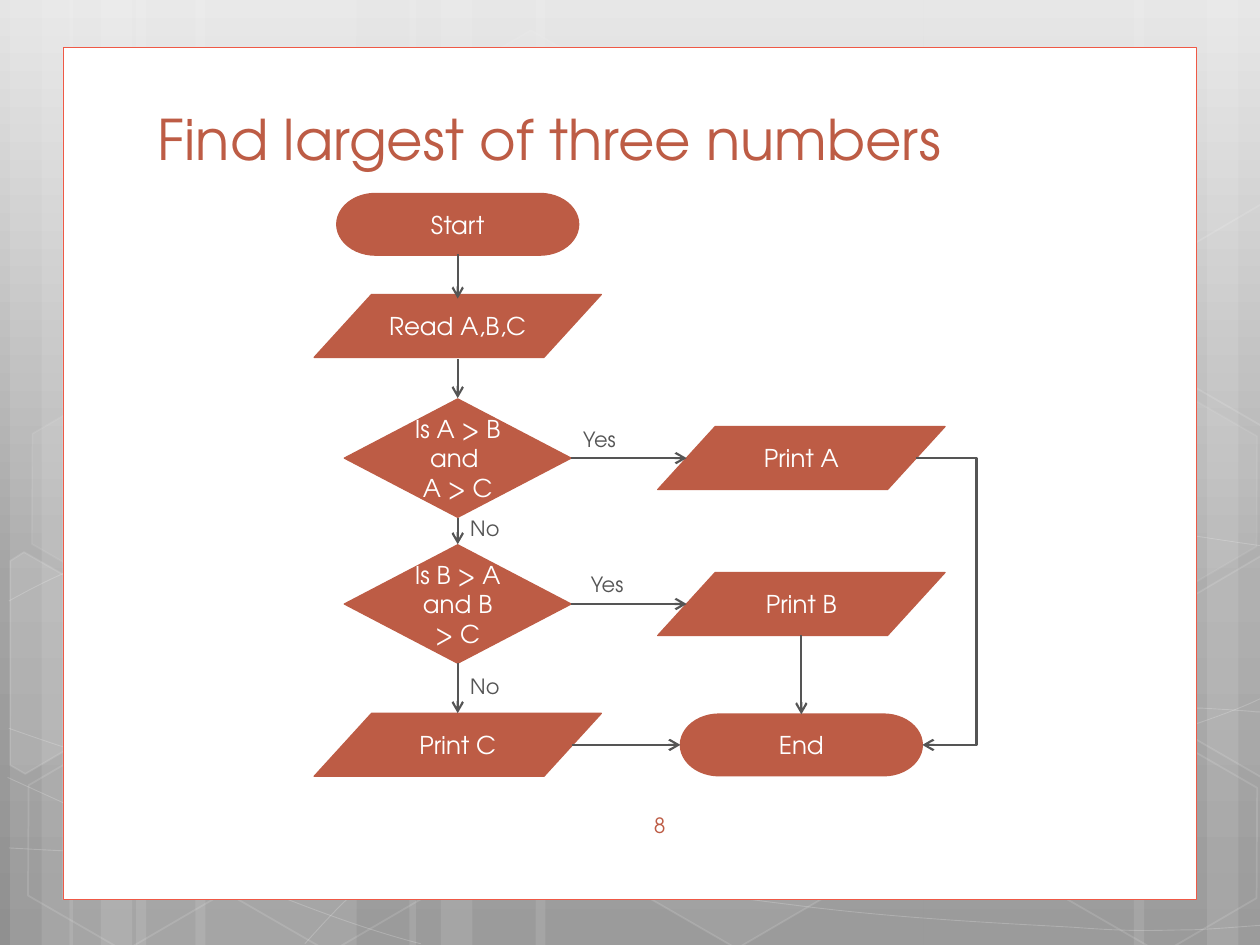
"""Build a flowchart slide that finds the largest of three numbers."""
from copy import deepcopy
from math import cos, radians, sin
from lxml.etree import SubElement as Sub
from pptx import Presentation
from pptx.dml.color import RGBColor as RGB
from pptx.enum.shapes import MSO_CONNECTOR as LINK, MSO_SHAPE as KIND
from pptx.enum.text import MSO_ANCHOR as ANCHOR, MSO_AUTO_SIZE as AUTO, PP_ALIGN as ALIGN
from pptx.oxml.ns import qn
from pptx.util import Inches, Pt

INK = {"white": "FFFFFF", "rust": "BD5C45", "gray": "555555", "edge": "EF5946",
       "light": "E5E5E5", "mid": "A4A4A4", "dark": "909090"}
FONT = "TeX Gyre Adventor"

deck = Presentation()
deck.slide_width, deck.slide_height = Inches(10), Inches(7.5)
COL, ROW = deck.slide_width / 100, deck.slide_height / 75
slide = deck.slides.add_slide(deck.slide_layouts[5])
shapes = slide.shapes


def paint(shape, fill=None, line=None, width=0.5, fade=100, haze=100):
    shape.shadow.inherit = False
    shape.fill.background()
    shape.line.fill.background()
    shares = []
    if fill:
        shape.fill.solid()
        shape.fill.fore_color.rgb = RGB.from_string(INK[fill])
        shares.append(fade)
    if line:
        shape.line.color.rgb = RGB.from_string(INK[line])
        shape.line.width = Pt(width)
        shares.append(haze)
    for tone, share in zip(shape._element.spPr.iter(qn("a:srgbClr")), shares):
        if share < 100:
            Sub(tone, qn("a:alpha"), val=str(share * 1000))


def write(shape, lines, size, ink, align=ALIGN.LEFT, anchor=ANCHOR.TOP, fit=AUTO.NONE):
    frame = shape.text_frame
    frame.word_wrap = True
    frame.auto_size = fit
    frame.vertical_anchor = anchor
    for n, line in enumerate(lines):
        para = frame.add_paragraph() if n else frame.paragraphs[0]
        para.alignment = align
        run = para.add_run()
        run.text = line
        run.font.name, run.font.size = FONT, Pt(size)
        run.font.color.rgb = RGB.from_string(INK[ink])


back = slide.background.fill
back.gradient()
back.gradient_angle = 270
first = next(slide._element.iter(qn("a:gs")))
first.addnext(deepcopy(first))
for stop, tone, place in zip(back.gradient_stops, ("light", "mid", "dark"), (0, 0.62, 1)):
    stop.color.rgb = RGB.from_string(INK[tone])
    stop.position = place

bands = [(10.8, 0.8, 3.3), (15.5, 5.5, 8), (73.3, 95.8, 90), (42.5, 32.5, 35)]
for band in bands:
    wide = 30.8 if band == bands[-1] else 17.5
    for x, w in zip(band, (wide, 5, 8.3)):
        bar = shapes.add_shape(KIND.RECTANGLE, int(x * COL), 0, int(w * COL), deck.slide_height)
        paint(bar, "white", fade=10)

waves = [
    [(0.7, 67.3), (6.1, 67.6), (11.5, 67.9), (19, 67.8), (26.5, 67.7), (35.8, 67.5),
     (45.8, 66.5), (55.8, 65.5), (70, 63.6), (79.2, 61.7), (88.3, 59.8), (97.7, 56.8),
     (100.7, 55.1)],
    [(0.7, 47.7), (3.6, 46.1), (6.5, 44.6), (12.1, 43.1), (17.8, 41.6), (25.9, 39.4),
     (34.7, 38.7), (43.6, 38), (54.4, 37.9), (65.4, 38.7), (76.4, 39.5), (94.7, 42.6),
     (100.7, 43.4)],
    [(0.6, 61.7), (12.7, 67.2), (24.7, 72.7), (33.4, 74.9)],
    [(0.7, 57.8), (3.8, 58.9), (7, 60), (12.8, 61.6), (18.6, 63.1), (27.3, 65.6),
     (35.7, 67.3), (44, 69), (54.5, 70.8), (62.8, 71.8), (71.1, 72.9), (80, 73.3),
     (85.3, 73.6), (90.5, 74), (91.9, 73.8), (94.5, 73.8), (97.1, 73.7), (98.9, 73.5),
     (100.7, 73.4)],
    [(24.2, 74.9), (26, 72.9), (27.8, 70.9), (30.2, 69.1), (32.6, 67.3), (36, 65.3),
     (38.8, 63.9), (41.6, 62.5), (43.3, 61.9), (47, 60.9), (50.6, 59.9), (57.3, 58.5),
     (60.8, 57.8), (64.4, 57.1), (64.9, 57.1), (68, 56.9), (71.1, 56.6), (76, 56.3),
     (79.4, 56.2), (82.9, 56.1), (88.6, 56.2), (88.6, 56.2), (90.8, 56.2), (93, 56.2),
     (95.3, 56.2), (97.1, 56.3), (98.8, 56.4), (99.7, 56.5), (100.3, 56.5), (100.6, 56.6),
     (100.6, 56.6)],
]
for wave in waves:
    dots = [(int(x * COL), int(y * ROW)) for x, y in wave]
    pen = shapes.build_freeform(*dots[0])
    pen.add_line_segments(dots[1:], close=False)
    curve = pen.convert_to_shape()
    route = next(curve._element.iter(qn("a:path")))
    legs = route.findall(qn("a:lnTo"))
    for n in range(0, len(legs), 3):
        bend = Sub(route, qn("a:cubicBezTo"))
        for leg in legs[n:n + 3]:
            bend.append(leg[0])
            route.remove(leg)
    paint(curve, line="white", haze=20)

cells = [(33.4, 3.6, 4, 8), (49.7, 58.9, 6, 12), (1.1, 59.1, 0, 12), (1.4, 31.2, 7, 8),
         (17.4, 59.2, 0, 12), (75.3, 45.3, 10, 12), (83.4, 59.3, 0, 12), (83.4, 31.4, 7, 8)]
for x, y, fade, haze in cells:
    cell = shapes.add_shape(KIND.HEXAGON, int(x * COL), int(y * ROW), int(17.5 * COL), int(15.2 * ROW))
    cell.rotation = 30
    cell.adjustments[0], cell.adjustments[1] = 0.285, 1.155
    paint(cell, "white" if fade else None, "white", 1, fade, haze)

right = [(92.6, 48.5), (100.1, 44.1), (100.9, 44.6), (100.9, 61.3), (100.2, 61.7), (92.6, 57.3)]
left = [(0.8, 44.5), (1.9, 43.8), (9.6, 48.2), (9.5, 57), (2, 61.4), (0.8, 60.7)]
upper = [(x, y - 27.9) for x, y in right]
c, s = cos(radians(30)), sin(radians(30))
for part, mx, my, fade in ((left, 3.6, 53.5, 10), (right, 98.5, 52, 4), (upper, 98.5, 24.1, 0)):
    dots = [(int((mx + (x - mx) * c + (y - my) * s) * COL),
             int((my - (x - mx) * s + (y - my) * c) * ROW)) for x, y in part]
    pen = shapes.build_freeform(*dots[0])
    pen.add_line_segments(dots[1:], close=True)
    piece = pen.convert_to_shape()
    piece.rotation = 30
    paint(piece, "white" if fade else None, "white", 1, fade, 12)

panel = shapes.add_shape(KIND.RECTANGLE, int(5 * COL), int(3.8 * ROW), int(90 * COL), int(67.6 * ROW))
paint(panel, "white", "edge")

title = shapes.title
title.left, title.top = int(11.5 * COL), int(7.9 * ROW)
title.width, title.height = int(78.5 * COL), int(6.2 * ROW)
write(title, ["Find largest of three numbers"], 32, "rust", anchor=ANCHOR.BOTTOM)
panel._element.addnext(title._element)

MAIN, SIDE = 36.33, 63.6
TOP, READ, ASK, NEXT, LAST = 17.8, 25.87, 36.36, 47.94, 59.12
TERM = (KIND.FLOWCHART_TERMINATOR, 19.2, 4.9)
DATA = (KIND.FLOWCHART_DATA, 22.8, 5)
TEST = (KIND.FLOWCHART_DECISION, 18, 9.4)
nodes = [
    (TERM, MAIN, TOP, ["Start"]),
    (DATA, MAIN, READ, ["Read A,B,C"]),
    (TEST, MAIN, ASK, ["Is A > B and ", "A > C"]),
    (TEST, MAIN, NEXT, ["Is B > A and B > C"]),
    (DATA, MAIN, LAST, ["Print C"]),
    (DATA, SIDE, ASK, ["Print A"]),
    (DATA, SIDE, NEXT, ["Print B"]),
    (TERM, SIDE, LAST, ["End"]),
]
for (kind, w, h), x, y, lines in nodes:
    node = shapes.add_shape(kind, int((x - w / 2) * COL), int((y - h / 2) * ROW), int(w * COL), int(h * ROW))
    paint(node, "rust", "rust", 0)
    write(node, lines, 14, "white", ALIGN.CENTER, ANCHOR.MIDDLE)

links = [
    (MAIN, 20.2, MAIN, 23.7), (MAIN, 28.5, MAIN, 31.6), (MAIN, 41.1, MAIN, 43.2),
    (MAIN, 52.6, MAIN, 56.6), (SIDE, 50.4, SIDE, 56.7), (45.3, ASK, 54.5, ASK),
    (45.3, NEXT, 54.5, NEXT), (45.4, LAST, 54, LAST), (72.7, ASK, 73.2, LAST),
]
for x, y, to, end in links:
    bent = x != to and y != end
    link = shapes.add_connector(LINK.ELBOW if bent else LINK.STRAIGHT,
                                int(x * COL), int(y * ROW), int(to * COL), int(end * ROW))
    link.line.color.rgb = RGB.from_string(INK["gray"])
    link.line.width = Pt(1.25)
    form = link._element.spPr
    Sub(form.find(qn("a:ln")), qn("a:tailEnd"), type="arrow")
    Sub(form, qn("a:effectLst"))
    if bent:
        Sub(form.find(".//" + qn("a:avLst")), qn("a:gd"), name="adj1", fmla="val 960000")

for text, x, y in (("Yes", 45.3, 33.35), ("Yes", 45.9, 44.9), ("No", MAIN, 40.4), ("No", MAIN, 52.95)):
    label = shapes.add_textbox(int(x * COL), int(y * ROW), int(5.2 * COL), int(3 * ROW))
    write(label, [text], 12, "gray", fit=AUTO.SHAPE_TO_FIT_TEXT)

page = shapes.add_textbox(int(50.9 * COL), int(64 * ROW), int(39.2 * COL), int(4 * ROW))
write(page, ["8"], 12, "rust")

deck.save("out.pptx")
